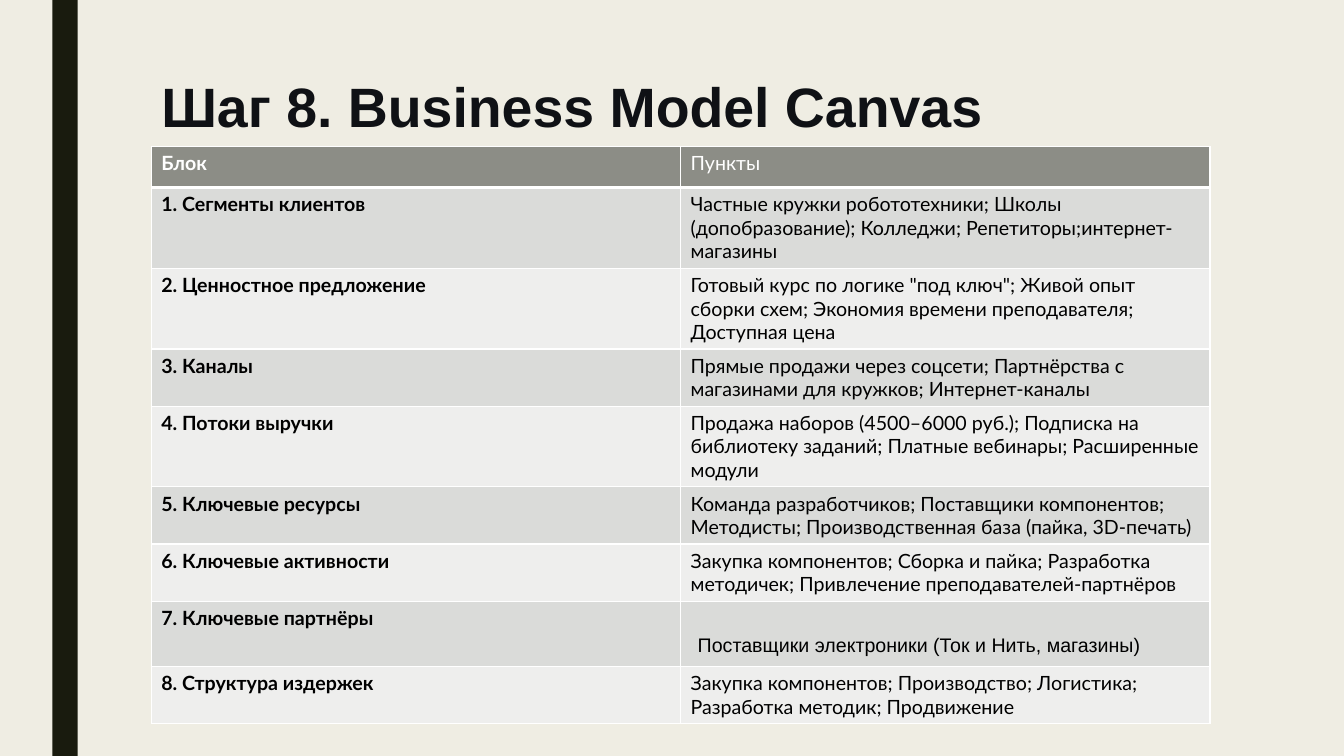
from dataclasses import dataclass

from lxml.etree import SubElement
from pptx import Presentation
from pptx.dml.color import RGBColor
from pptx.enum.shapes import MSO_SHAPE
from pptx.enum.text import MSO_ANCHOR, MSO_AUTO_SIZE, PP_ALIGN
from pptx.oxml.ns import qn
from pptx.util import Inches, Pt

BACKGROUND, BAR, TITLE_COLOR = "EFEDE3", "191B0E", "0F1115"
WHITE, BLACK = "FFFFFF", "000000"
HEADER_FILL, ODD_FILL, EVEN_FILL = "8C8D86", "DADBD9", "EEEEED"
LEFT, WIDTH, ROW_HEIGHT = 1.5, 10.5, 0.41


@dataclass
class Block:
    name: str
    items: str
    font: str = "Lato"


BLOCKS = [
    Block("Блок", "Пункты"),
    Block("1. Сегменты клиентов",
          "Частные кружки робототехники; Школы (допобразование); Колледжи; "
          "Репетиторы;интернет-магазины"),
    Block("2. Ценностное предложение",
          'Готовый курс по логике "под ключ"; Живой опыт сборки схем; '
          "Экономия времени преподавателя; Доступная цена"),
    Block("3. Каналы",
          "Прямые продажи через соцсети; Партнёрства с магазинами для кружков; "
          "Интернет-каналы"),
    Block("4. Потоки выручки",
          "Продажа наборов (4500–6000 руб.); Подписка на библиотеку заданий; "
          "Платные вебинары; Расширенные модули"),
    Block("5. Ключевые ресурсы",
          "Команда разработчиков; Поставщики компонентов; Методисты; "
          "Производственная база (пайка, 3D-печать)"),
    Block("6. Ключевые активности",
          "Закупка компонентов; Сборка и пайка; Разработка методичек; "
          "Привлечение преподавателей-партнёров"),
    Block("7. Ключевые партнёры",
          "Поставщики электроники (Ток и Нить, магазины)", "Arial"),
    Block("8. Структура издержек",
          "Закупка компонентов; Производство; Логистика; Разработка методик; "
          "Продвижение"),
]


def rgb(value: str) -> RGBColor:
    return RGBColor.from_string(value)


def add_run(p, text: str, font: str, size: float, color: str, bold: bool) -> None:
    r = p.add_run()
    r.text = text
    r.font.name, r.font.size, r.font.bold = font, Pt(size), bold
    r.font.color.rgb = rgb(color)


def set_borders(cell, top: float, bottom: float) -> None:
    tc_pr = cell._tc.get_or_add_tcPr()
    for side, width in (("L", 1), ("R", 1), ("T", top), ("B", bottom)):
        line = SubElement(tc_pr, qn(f"a:ln{side}"), w=str(Pt(width)))
        fill = SubElement(line, qn("a:solidFill"))
        SubElement(fill, qn("a:srgbClr"), val=WHITE)


def fill_row(table, index: int, block: Block) -> None:
    header = index == 0
    fill = HEADER_FILL if header else ODD_FILL if index % 2 else EVEN_FILL
    color = WHITE if header else BLACK
    table.rows[index].height = Inches(ROW_HEIGHT)
    texts = ((block.name, "Lato", True), (block.items, block.font, False))
    for column, (text, font, bold) in enumerate(texts):
        cell = table.cell(index, column)
        set_borders(cell, top=3 if index == 1 else 1, bottom=3 if header else 1)
        cell.fill.solid()
        cell.fill.fore_color.rgb = rgb(fill)
        add_run(cell.text_frame.paragraphs[0], text, font, 14, color, bold)


def main() -> None:
    prs = Presentation()
    prs.slide_width, prs.slide_height = Inches(13.33), Inches(7.5)
    s = prs.slides.add_slide(prs.slide_layouts[5])
    s.background.fill.solid()
    s.background.fill.fore_color.rgb = rgb(BACKGROUND)

    # Side bar
    bar = s.shapes.add_shape(MSO_SHAPE.RECTANGLE, Inches(0.52), 0,
                             Inches(0.25), prs.slide_height)
    bar.shadow.inherit = False
    bar.fill.solid()
    bar.fill.fore_color.rgb = rgb(BAR)
    bar.line.fill.background()

    # Title
    title = s.shapes.title
    title.left, title.top = Inches(LEFT), Inches(0.75)
    title.width, title.height = Inches(WIDTH), Inches(1.62)
    tf = title.text_frame
    tf.word_wrap, tf.auto_size = True, MSO_AUTO_SIZE.NONE
    tf.vertical_anchor = MSO_ANCHOR.TOP
    p = tf.paragraphs[0]
    p.alignment, p.line_spacing = PP_ALIGN.LEFT, 0.89
    add_run(p, "Шаг 8. Business Model Canvas", "Arial", 39.6, TITLE_COLOR, True)

    # Business model table
    frame = s.shapes.add_table(len(BLOCKS), 2, Inches(LEFT), Inches(1.45),
                               Inches(WIDTH), Inches(5.28))
    table = frame.table
    for index, block in enumerate(BLOCKS):
        fill_row(table, index, block)
    frame.height = Inches(5.28)

    # The partners cell has wider insets
    partners = table.cell(7, 1)
    partners.vertical_anchor = MSO_ANCHOR.MIDDLE
    partners.margin_left, partners.margin_top = Inches(0.17), Inches(0.33)
    partners.margin_right = partners.margin_bottom = Inches(0.1)

    prs.save("out.pptx")


if __name__ == "__main__":
    main()
